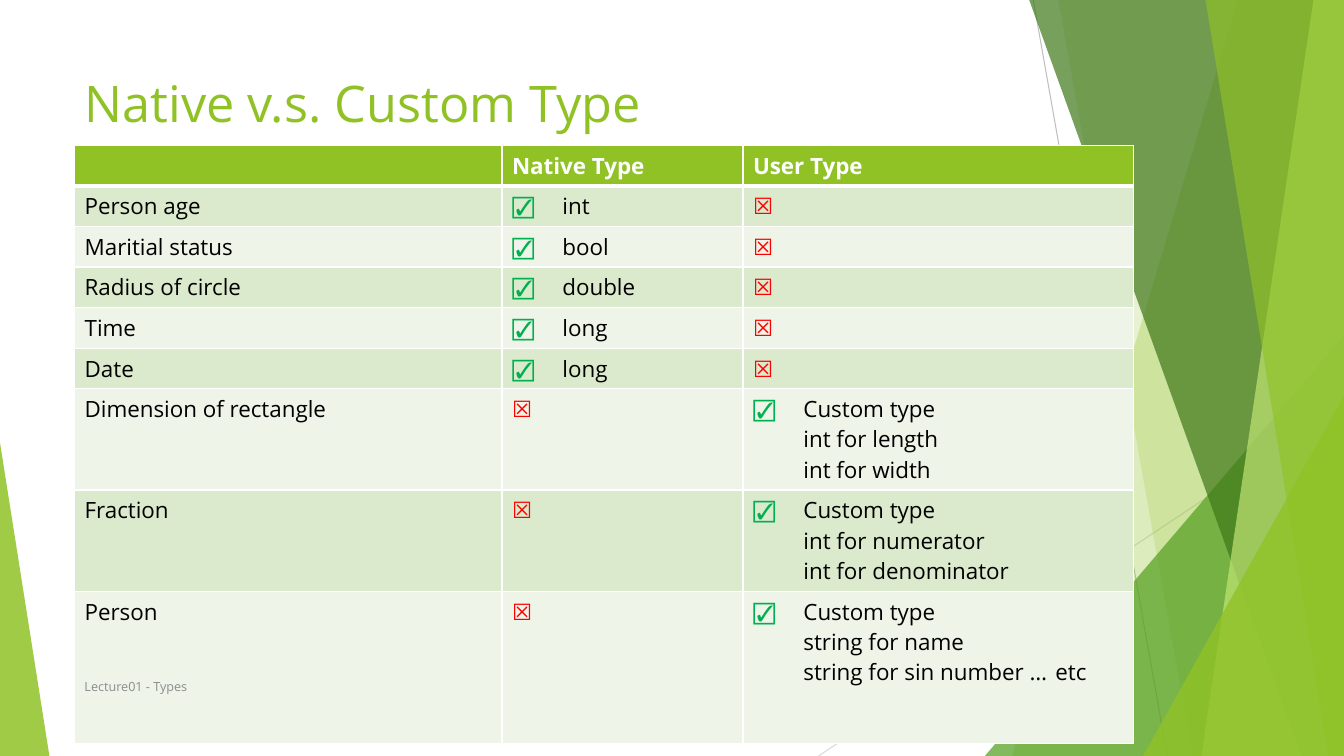
from typing import NamedTuple

from lxml import etree
from pptx import Presentation
from pptx.dml.color import RGBColor
from pptx.enum.shapes import MSO_CONNECTOR, MSO_SHAPE
from pptx.enum.text import MSO_ANCHOR, PP_ALIGN
from pptx.oxml.ns import qn
from pptx.util import Emu, Inches, Pt

STRAIGHT, TRIANGLE = MSO_CONNECTOR.STRAIGHT, MSO_SHAPE.ISOSCELES_TRIANGLE
TOP, MIDDLE, LEFT = MSO_ANCHOR.TOP, MSO_ANCHOR.MIDDLE, PP_ALIGN.LEFT
W, H = Inches(13.333), Inches(7.5)
FONT = "Open Sans"
COLORS = {
    "lime": "90C226", "green": "54A021", "forest": "3F7819", "pale": "C0E474",
    "ray": "BFBFBF", "faint": "D9D9D9", "white": "FFFFFF", "black": "000000",
    "odd": "DBE9CD", "even": "EEF4E8", "yes": "00B050", "no": "FF0000",
    "footer": "8C8C8C",
}
YES, NO = "☑", "☒"
MARKS = {YES: "yes", NO: "no"}
TAB = Inches(0.5)


class Ray(NamedTuple):
    """Thin line; ends in percent of the slide."""
    x1: float
    y1: float
    x2: float
    y2: float
    color: str


class Shard(NamedTuple):
    """Full-height panel reaching the right edge, with a slanted left side."""
    top: float
    bottom: float
    color: str
    alpha: int


class Wedge(NamedTuple):
    """Triangle standing on the bottom edge, with its apex at a share of its width."""
    left: float
    top: float
    width: float
    apex: int
    color: str
    alpha: int


DECOR = [
    Ray(76.88, 0, 86.85, 100, "ray"),
    Ray(100, 53.73, 60.9, 100, "faint"),
    Shard(92.1, 75.3, "lime", 30),
    Shard(78.75, 88.73, "lime", 20),
    Wedge(73.28, 44.4, 26.72, 1, "green", 72),
    Shard(76.58, 96.83, "forest", 70),
    Shard(97.73, 89.4, "pale", 70),
    Shard(89.7, 98.85, "lime", 65),
    Wedge(85.05, 52.4, 14.95, 1, "lime", 80),
    Wedge(0, 58.53, 3.68, 0, "lime", 85),
]
MARGIN = 5.55
COLUMNS = [31.8, 17.93, 29.03]
ROWS = [4.67] * 6 + [11.47] * 2 + [20.13]
NATIVE = [("Person age", "int"), ("Maritial status", "bool"),
          ("Radius of circle", "double"), ("Time", "long"), ("Date", "long")]
CUSTOM = [("Dimension of rectangle", ["int for length", "int for width"]),
          ("Fraction", ["int for numerator", "int for denominator"]),
          ("Person", ["string for name", "string for sin number … \tetc"])]


def px(share: float) -> Emu:
    """Percent of the slide width."""
    return Emu(round(W * share / 100))


def py(share: float) -> Emu:
    """Percent of the slide height."""
    return Emu(round(H * share / 100))


def rgb(name: str) -> RGBColor:
    """Look up a named colour."""
    return RGBColor.from_string(COLORS[name])


def add_run(p, text: str, color: str, **fmt) -> None:
    """Append a formatted run to a paragraph."""
    r = p.add_run()
    r.text = text
    for key, value in {"name": FONT, "size": Pt(16), "bold": False, **fmt}.items():
        setattr(r.font, key, value)
    r.font.color.rgb = rgb(color)


def paint(sp, color: str, alpha: int) -> None:
    """Give a shape a translucent fill, no line and no shadow."""
    sp.shadow.inherit = False
    sp.line.fill.background()
    sp.fill.solid()
    sp.fill.fore_color.rgb = rgb(color)
    srgb = sp.fill._xPr.find(".//" + qn("a:srgbClr"))
    etree.SubElement(srgb, qn("a:alpha"), val=str(alpha * 1000))


def draw_decor(s, item: Ray | Shard | Wedge) -> None:
    """Draw one piece of the background decoration."""
    if isinstance(item, Ray):
        line = s.shapes.add_connector(STRAIGHT, px(item.x1), py(item.y1),
                                      px(item.x2), py(item.y2))
        line.line.color.rgb = rgb(item.color)
        line.line.width = Pt(0.75)
        etree.SubElement(line._element.spPr, qn("a:effectLst"))
        return
    if isinstance(item, Shard):
        outline = s.shapes.build_freeform(px(item.top), 0)
        outline.add_line_segments([(W, 0), (W, H), (px(item.bottom), H)])
        sp = outline.convert_to_shape()
    else:
        sp = s.shapes.add_shape(TRIANGLE, px(item.left), py(item.top),
                                px(item.width), H - py(item.top))
        sp.adjustments[0] = item.apex
    paint(sp, item.color, item.alpha)


def set_text(sp, box: tuple, text: str, color: str, size: int, anchor) -> None:
    """Place a text shape by slide shares and fill it with one line."""
    left, top, width, height = box
    place = {"left": px(left), "top": py(top), "width": px(width), "height": py(height)}
    for key, value in place.items():
        setattr(sp, key, value)
    tf = sp.text_frame
    for key, value in {"word_wrap": True, "vertical_anchor": anchor}.items():
        setattr(tf, key, value)
    tf.paragraphs[0].alignment = LEFT
    add_run(tf.paragraphs[0], text, color, size=Pt(size))


def style_cell(cell, fill: str, bottom: int) -> None:
    """Set the white borders and the fill of a cell."""
    tcPr = cell._tc.get_or_add_tcPr()
    for side, width in {"lnL": 1, "lnR": 1, "lnT": 1, "lnB": bottom}.items():
        ln = etree.SubElement(tcPr, qn(f"a:{side}"), w=str(Pt(width)))
        solid = etree.SubElement(ln, qn("a:solidFill"))
        etree.SubElement(solid, qn("a:srgbClr"), val=COLORS["white"])
    cell.fill.solid()
    cell.fill.fore_color.rgb = rgb(fill)


def write_cell(cell, lines: list[str], header: bool) -> None:
    """Write lines into a cell, colouring a leading check mark."""
    p = cell.text_frame.paragraphs[0]
    p._p.get_or_add_pPr().set("defTabSz", str(TAB))
    for i, line in enumerate(lines):
        if i:
            p.add_line_break()
        if line[:1] in MARKS:
            add_run(p, line[0], MARKS[line[0]])
            line = line[1:]
        if line:
            add_run(p, line, "white" if header else "black", bold=header)


def table_rows() -> list[list[list[str]]]:
    """Lines of every cell, row by row."""
    rows = [[[], ["Native Type"], ["User Type"]]]
    rows += [[[name], [f"{YES}\t{kind}"], [NO]] for name, kind in NATIVE]
    rows += [[[name], [NO], [f"{YES}\tCustom type"] + [f"\t{x}" for x in fields]]
             for name, fields in CUSTOM]
    return rows


def draw_table(s) -> None:
    """Add the comparison table."""
    table = s.shapes.add_table(len(ROWS), len(COLUMNS), px(MARGIN), py(19.2),
                               px(sum(COLUMNS)), py(sum(ROWS))).table
    for col, share in zip(table.columns, COLUMNS):
        col.width = px(share)
    for i, row in enumerate(table_rows()):
        table.rows[i].height = py(ROWS[i])
        fill = "lime" if i == 0 else "odd" if i % 2 else "even"
        for j, lines in enumerate(row):
            style_cell(table.cell(i, j), fill, 3 if i == 0 else 1)
            write_cell(table.cell(i, j), lines, i == 0)


prs = Presentation()
prs.slide_width, prs.slide_height = W, H
s = prs.slides.add_slide(prs.slide_layouts[5])
title = s.shapes.title
for item in DECOR:
    draw_decor(s, item)
s.shapes._spTree.append(title._element)
set_text(title, (MARGIN, 8.93, 70.5, 19.2), "Native v.s. Custom Type", "lime", 36, TOP)
draw_table(s)
footer = s.shapes.add_textbox(0, 0, W, H)
set_text(footer, (MARGIN, 88.13, 51.68, 5.33), "Lecture01 - Types", "footer", 9, MIDDLE)
prs.save("out.pptx")
